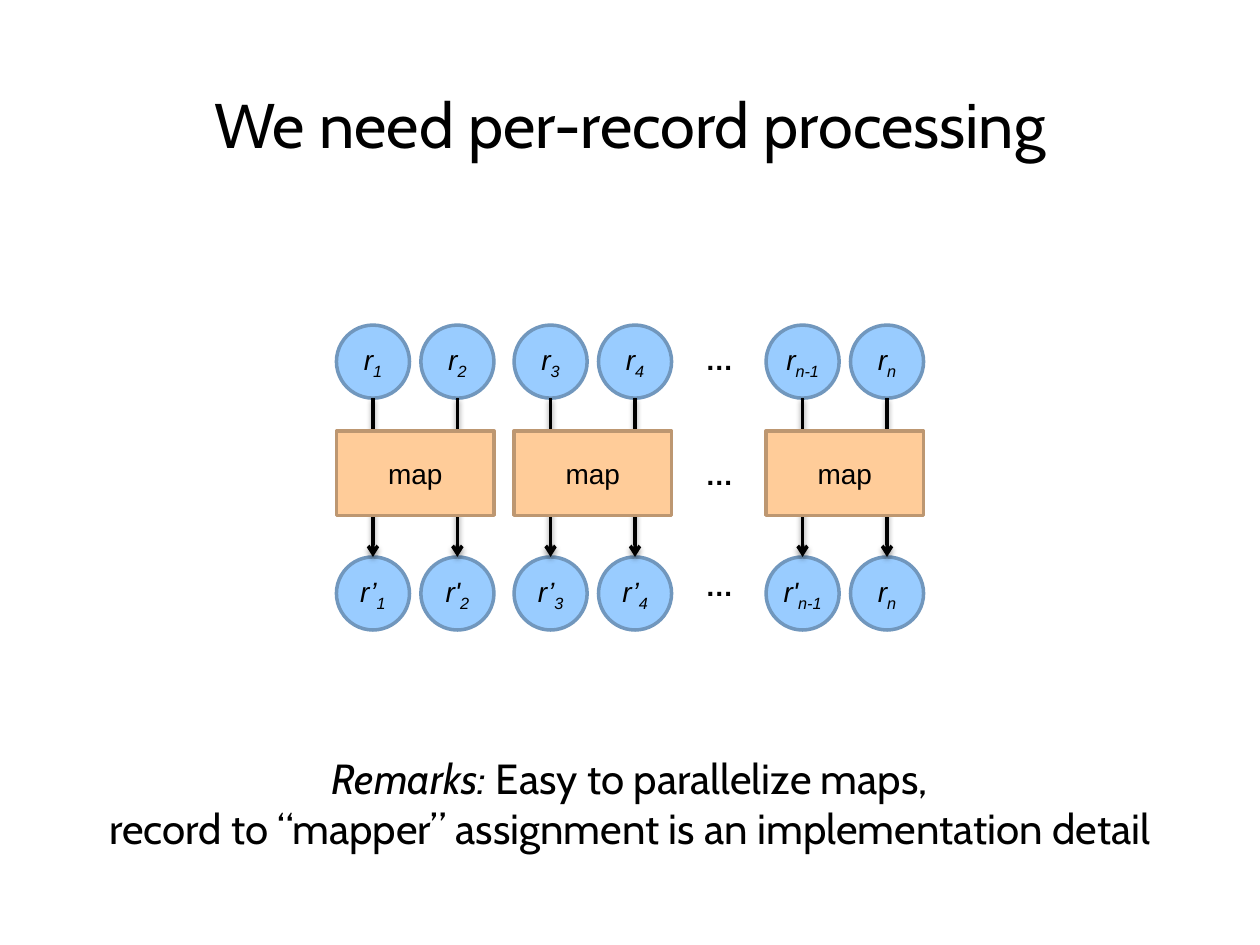
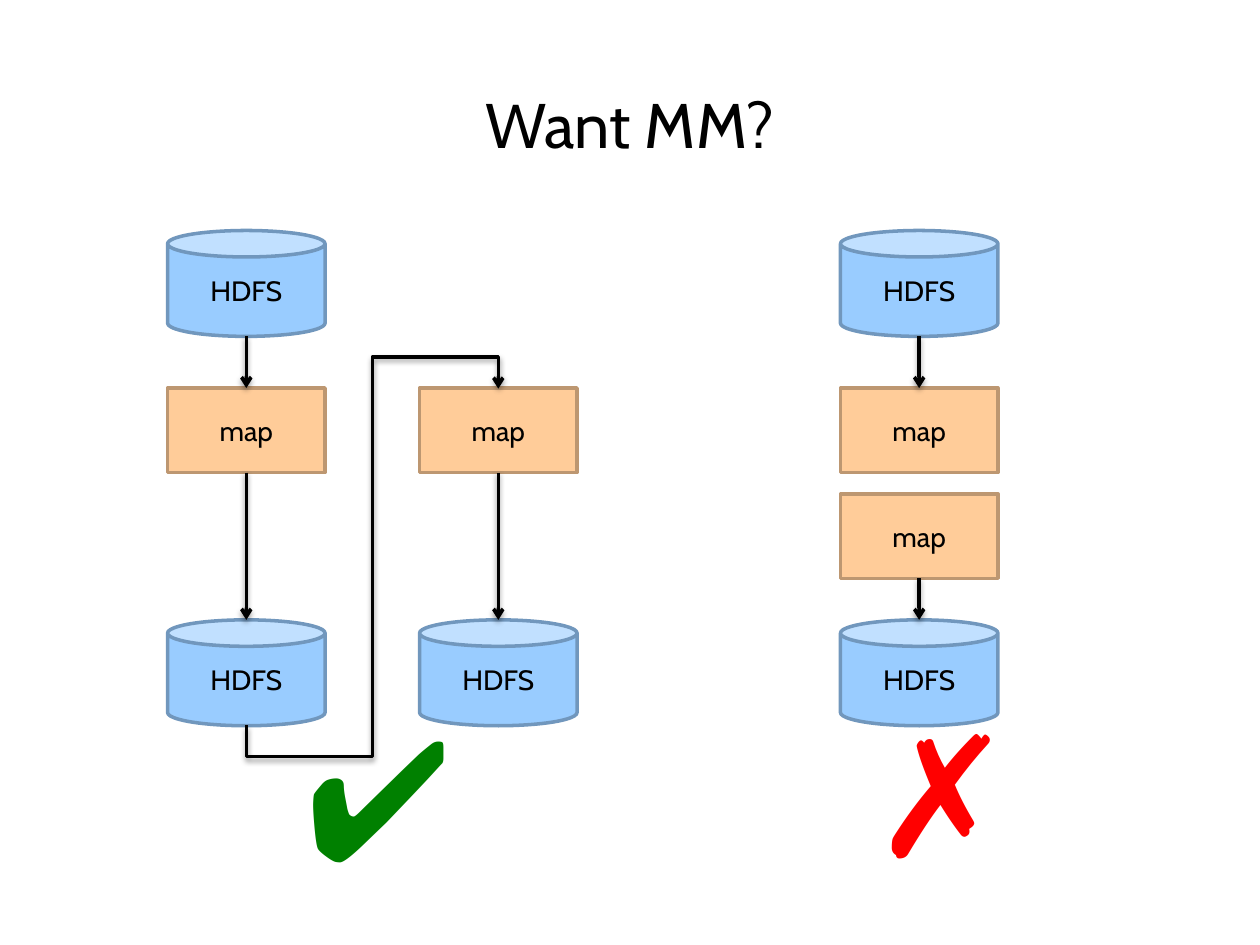
from lxml import etree
from pptx import Presentation
from pptx.dml.color import RGBColor
from pptx.enum.shapes import MSO_CONNECTOR, MSO_SHAPE
from pptx.enum.text import MSO_ANCHOR, MSO_AUTO_SIZE, PP_ALIGN
from pptx.oxml import parse_xml
from pptx.oxml.ns import nsdecls, qn
from pptx.util import Inches, Pt

OVAL, RECT, CAN = MSO_SHAPE.OVAL, MSO_SHAPE.RECTANGLE, MSO_SHAPE.CAN
LINE, BENT = MSO_CONNECTOR.STRAIGHT, MSO_CONNECTOR.ELBOW
LEFT, MID = PP_ALIGN.LEFT, PP_ALIGN.CENTER
TOP, CENTER = MSO_ANCHOR.TOP, MSO_ANCHOR.MIDDLE
FIXED = MSO_AUTO_SIZE.NONE

# Theme: colours, type sizes and frame settings
BLUE, TAN = ("99CCFF", "7197BD"), ("FFCC99", "BD9771")
INK, GREEN, RED = "000000", "008000", "FF0000"
STROKE = Pt(2)
FLUSH = dict.fromkeys(("margin_left", "margin_top", "margin_right", "margin_bottom"), 0)
IN_BOX = {"word_wrap": True, "vertical_anchor": CENTER}
LOOSE = {"word_wrap": False, "vertical_anchor": TOP}
ARIAL = {"name": "Arial", "size": Pt(16)}
CABIN = {"name": "Cabin", "size": Pt(16)}
MARK = {"name": "Arial", "size": Pt(96), "bold": True}
THEME = {
    "title": {"font": CABIN | {"size": Pt(36)}, "frame": IN_BOX | {"auto_size": FIXED}},
    "note": {"font": CABIN | {"size": Pt(24)}, "frame": IN_BOX | {"vertical_anchor": TOP}},
    "record": {"font": ARIAL | {"italic": True}, "frame": IN_BOX | FLUSH, "paint": BLUE},
    "map": {"font": ARIAL, "frame": IN_BOX, "paint": TAN},
    "step": {"font": CABIN, "frame": IN_BOX, "paint": TAN},
    "store": {"font": CABIN, "frame": IN_BOX, "paint": BLUE},
    "dots": {"font": ARIAL | {"bold": True}, "frame": LOOSE, "align": LEFT},
    "yes": {"font": MARK, "frame": LOOSE, "align": LEFT, "ink": GREEN},
    "no": {"font": MARK, "frame": LOOSE, "align": LEFT, "ink": RED},
}
SHADOW = (
    f'<a:effectLst {nsdecls("a")}><a:outerShdw blurRad="40000" dist="20000" '
    'dir="5400000" rotWithShape="0"><a:srgbClr val="000000">'
    '<a:alpha val="38000"/></a:srgbClr></a:outerShdw></a:effectLst>'
)


def dress(shape, role, text, sub=""):
    """Paint a shape and write its text, with an optional subscript."""
    look = THEME[role]
    if "paint" in look:
        fill, edge = map(RGBColor.from_string, look["paint"])
        shape.shadow.inherit = False
        shape.fill.solid()
        shape.fill.fore_color.rgb = fill
        shape.line.color.rgb = edge
        shape.line.width = STROKE
    frame = shape.text_frame
    for key, val in look["frame"].items():
        setattr(frame, key, val)
    par = frame.paragraphs[0]
    par.alignment = look.get("align", MID)
    for part in filter(None, (text, sub)):
        run = par.add_run()
        run.text = part
        for key, val in look["font"].items():
            setattr(run.font, key, val)
        run.font.color.rgb = RGBColor.from_string(look.get("ink", INK))
    if sub:
        run._r.get_or_add_rPr().set("baseline", "-25000")
    return shape


def arrow(slide, kind, *ends):
    """Draw a black arrow with a soft shadow."""
    link = slide.shapes.add_connector(kind, *map(Inches, ends))
    link.line.color.rgb = RGBColor.from_string(INK)
    link.line.width = STROKE
    props = link._element.spPr
    etree.SubElement(props.find(qn("a:ln")), qn("a:tailEnd"), type="arrow")
    props.append(parse_xml(SHADOW))
    return link


deck = Presentation()
deck.slide_width, deck.slide_height = Inches(10), Inches(7.5)

# Slides with their titles
pages = []
for head in ("We need per-record processing", "Want MM?"):
    page = deck.slides.add_slide(deck.slide_layouts[5])
    title = page.shapes.title
    spot = {"left": 0, "top": 0.6, "width": 10, "height": 0.75}
    for key, val in spot.items():
        setattr(title, key, Inches(val))
    dress(title, "title", head)
    pages.append(page)
first, second = pages

# Slide 1: records pass through the maps in pairs
SIZE, STEP = 0.58, 0.67
IN_TOP, MAP_TOP, OUT_TOP = 2.58, 3.42, 4.42
WIDE, TALL = 1.25, 0.67
pairs = [2.67, 4.08, 6.08]
cols = [x + k * STEP for x in pairs for k in (0, 1)]
subs = ["1", "2", "3", "4", "n-1", "n"]
outs = ["r’", "r'", "r’", "r’", "r'", "r"]
for x, sub, out in zip(cols, subs, outs):
    for y, name in ((IN_TOP, "r"), (OUT_TOP, out)):
        disc = first.shapes.add_shape(OVAL, *map(Inches, (x, y, SIZE, SIZE)))
        dress(disc, "record", name, sub)
    mid = x + SIZE / 2
    arrow(first, LINE, mid, IN_TOP + SIZE, mid, OUT_TOP)
for x in pairs:
    box = first.shapes.add_shape(RECT, *map(Inches, (x, MAP_TOP, WIDE, TALL)))
    dress(box, "map", "map")
for y in (2.67, 3.58, 4.46):
    gap = first.shapes.add_textbox(*map(Inches, (5.5, y, 0.43, 0.37)))
    dress(gap, "dots", "…")

# Slide 1: remarks
note = first.shapes.add_textbox(*map(Inches, (0, 5.92, 10, 0.91)))
dress(note, "note", "Remarks:")
line = note.text_frame.paragraphs[0]
line.runs[0].font.italic = True
dress(note, "note", " Easy to parallelize maps,")
line.add_line_break()
dress(note, "note", "record to “mapper” assignment is an implementation detail")

# Slide 2: each column holds its left edge, store tops and map tops
HIGH, LOW, DEEP = 1.83, 4.92, 0.84
flows = [
    (1.33, [HIGH, LOW], [3.08]),
    (3.33, [LOW], [3.08]),
    (6.67, [HIGH, LOW], [3.08, 3.92]),
]
for x, stores, maps in flows:
    mid = x + WIDE / 2
    for y in stores:
        can = second.shapes.add_shape(CAN, *map(Inches, (x, y, WIDE, DEEP)))
        dress(can, "store", "HDFS")
    boxes = []
    for y in maps:
        box = second.shapes.add_shape(RECT, *map(Inches, (x, y, WIDE, TALL)))
        boxes.append(dress(box, "step", "map"))
    if HIGH in stores:
        feed = arrow(second, LINE, mid, HIGH + DEEP, mid, maps[0])
        feed.end_connect(boxes[0], 0)
    drain = arrow(second, LINE, mid, maps[-1] + TALL, mid, LOW)
    drain.begin_connect(boxes[-1], 2)

# Slide 2: the stored result goes round to the second map
loop = arrow(second, BENT, 1.62, 3.42, 4.29, 5.42)
props = loop._element.spPr
for key, val in {"rot": "5400000", "flipH": "1", "flipV": "1"}.items():
    props.find(qn("a:xfrm")).set(key, val)
geom = props.find(qn("a:prstGeom"))
geom.set("prst", "bentConnector5")
bends = geom.find(qn("a:avLst"))
if bends is None:
    bends = etree.SubElement(geom, qn("a:avLst"))
for num, val in enumerate((-9400, 50000, 109400), 1):
    etree.SubElement(bends, qn("a:gd"), name=f"adj{num}", fmla=f"val {val}")

# Slide 2: verdicts
for role, sign, at in (
    ("yes", "✔", (2.33, 5.45, 1.34, 1.72)),
    ("no", "✗", (6.83, 5.42, 0.99, 1.72)),
):
    dress(second.shapes.add_textbox(*map(Inches, at)), role, sign)

deck.save("out.pptx")
